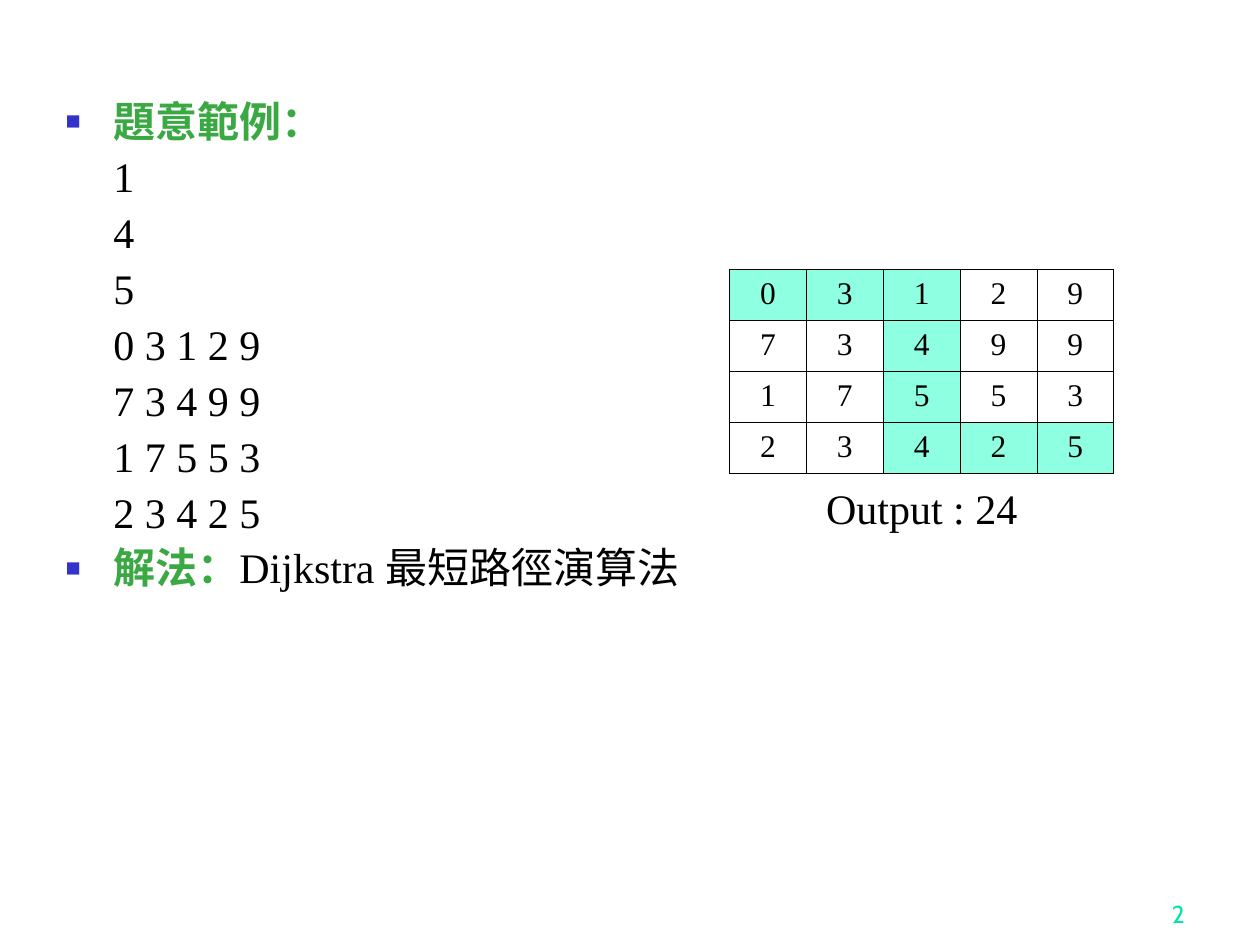
"""Build the slide that shows a shortest path example on a grid of costs."""
import dataclasses

import lxml.etree
import pptx
import pptx.dml.color
import pptx.enum.text
import pptx.oxml
import pptx.oxml.ns
import pptx.util

ALIGN = pptx.enum.text.PP_ALIGN
ANCHOR = pptx.enum.text.MSO_ANCHOR
AUTO_SIZE = pptx.enum.text.MSO_AUTO_SIZE
NAMESPACE = pptx.oxml.ns.nsdecls("a")


@dataclasses.dataclass(frozen=True)
class Theme:
    serif: str = "Times New Roman"
    sans: str = "Cabin"
    text: str = "000000"
    heading: str = "3BA943"
    bullet: str = "3333CC"
    path_fill: str = "8EFFE1"
    number: str = "00E4A8"
    body_size: int = 24
    cell_size: int = 18
    number_size: int = 14
    border_width: float = 0.45
    indent: float = 0.38


def apply(target, values):
    for name, value in values.items():
        setattr(target, name, value)


class SlideBuilder:
    def __init__(self, presentation, theme):
        self.theme = theme
        self.width = presentation.slide_width
        self.height = presentation.slide_height
        self.slide = presentation.slides.add_slide(presentation.slide_layouts[1])
        title = self.slide.shapes.title
        title.element.getparent().remove(title.element)

    def box(self, left, top, width, height):
        return {
            "left": round(left * self.width),
            "top": round(top * self.height),
            "width": round(width * self.width),
            "height": round(height * self.height),
        }

    def add_run(self, paragraph, text, size, color, font=None, bold=False):
        run = paragraph.add_run()
        run.text = text
        apply(run.font, {"name": font or self.theme.serif, "size": pptx.util.Pt(size), "bold": bold})
        run.font.color.rgb = pptx.dml.color.RGBColor.from_string(color)

    def set_bullet(self, paragraph, shown):
        properties = paragraph._p.get_or_add_pPr()
        indent = pptx.util.Inches(self.theme.indent)
        properties.set("marL", str(indent))
        properties.set("indent", str(-indent if shown else 0))
        parts = ["<a:buNone {}/>"]
        if shown:
            parts = [
                f'<a:buClr {{}}><a:srgbClr val="{self.theme.bullet}"/></a:buClr>',
                '<a:buSzPct {} val="60000"/>',
                '<a:buChar {} char="■"/>',
            ]
        for part in parts:
            properties.append(pptx.oxml.parse_xml(part.format(NAMESPACE)))

    def add_list(self, area, items):
        body = self.slide.placeholders[1]
        apply(body, self.box(*area))
        frame = body.text_frame
        apply(frame, {"auto_size": AUTO_SIZE.NONE, "word_wrap": True})
        for index, (heading, text) in enumerate(items):
            paragraph = frame.add_paragraph() if index else frame.paragraphs[0]
            self.set_bullet(paragraph, bool(heading))
            space = pptx.util.Pt(6 if index else 0)
            apply(paragraph, {"line_spacing": 0.9, "space_before": space})
            if heading:
                self.add_run(paragraph, heading, self.theme.body_size, self.theme.heading, bold=True)
            if text:
                self.add_run(paragraph, text, self.theme.body_size, self.theme.text)

    def add_text(self, area, text, size, color, font, align, anchor=ANCHOR.TOP):
        shape = self.slide.shapes.add_textbox(**self.box(*area))
        apply(shape.text_frame, {"word_wrap": True, "vertical_anchor": anchor})
        paragraph = shape.text_frame.paragraphs[0]
        paragraph.alignment = align
        self.add_run(paragraph, text, size, color, font)

    def set_borders(self, cell):
        properties = cell._tc.get_or_add_tcPr()
        width = pptx.util.Pt(self.theme.border_width)
        for side in ("lnL", "lnR", "lnT", "lnB"):
            properties.append(pptx.oxml.parse_xml(
                f'<a:{side} {NAMESPACE} w="{width}"><a:solidFill>'
                f'<a:srgbClr val="{self.theme.text}"/></a:solidFill></a:{side}>'
            ))

    def add_grid(self, area, rows, path):
        frame = self.slide.shapes.add_table(len(rows), len(rows[0]), **self.box(*area))
        apply(frame.table, {"first_row": False, "horz_banding": False})
        for row, values in enumerate(rows):
            for column, value in enumerate(values):
                cell = frame.table.cell(row, column)
                self.set_borders(cell)
                if (row, column) in path:
                    cell.fill.solid()
                    cell.fill.fore_color.rgb = pptx.dml.color.RGBColor.from_string(self.theme.path_fill)
                else:
                    cell.fill.background()
                paragraph = cell.text_frame.paragraphs[0]
                paragraph.alignment = ALIGN.CENTER
                self.add_run(paragraph, value, self.theme.cell_size, self.theme.text)


def main():
    presentation = pptx.Presentation()
    apply(presentation, {"slide_width": pptx.util.Inches(10), "slide_height": pptx.util.Inches(7.5)})
    theme = Theme()
    builder = SlideBuilder(presentation, theme)

    costs = ["0 3 1 2 9", "7 3 4 9 9", "1 7 5 5 3", "2 3 4 2 5"]
    cheapest_path = {(0, 0), (0, 1), (0, 2), (1, 2), (2, 2), (3, 2), (3, 3), (3, 4)}
    grid_left, grid_width = 0.579, 0.305

    builder.add_text((0.742, 6.92 / 7.5, 0.208, 0.5 / 7.5), "2", theme.number_size,
                     theme.number, theme.sans, ALIGN.RIGHT, ANCHOR.BOTTOM)
    builder.add_list(
        (0.042, 0.1, 0.883, 0.82),
        [("題意範例：", "")]
        + [("", line) for line in ["1", "4", "5", *costs]]
        + [("解法：", "Dijkstra 最短路徑演算法")],
    )
    builder.add_grid((grid_left, 2.14 / 7.5, grid_width, 1.62 / 7.5),
                     [line.split() for line in costs], cheapest_path)
    builder.add_text((grid_left, 3.78 / 7.5, grid_width, 0.5 / 7.5), "Output : 24",
                     theme.body_size, theme.text, theme.serif, ALIGN.CENTER)
    presentation.save("out.pptx")


if __name__ == "__main__":
    main()
